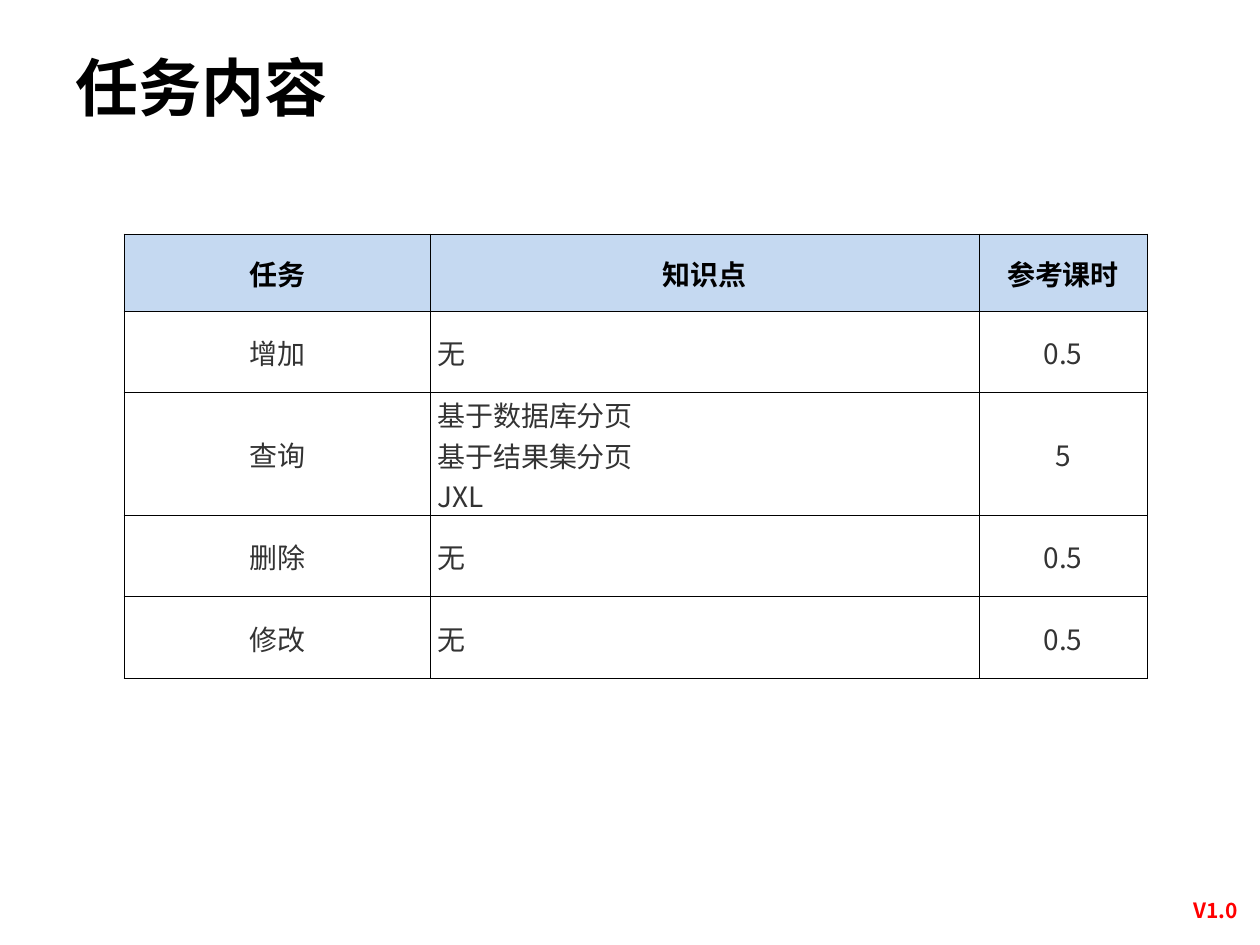
from lxml.etree import SubElement
from pptx import Presentation
from pptx.dml.color import RGBColor
from pptx.enum.text import MSO_ANCHOR, PP_ALIGN
from pptx.oxml.ns import qn
from pptx.util import Cm, Pt

FONT = "Noto Sans CJK SC"
COLUMN_WIDTHS = [6.17, 11.07, 3.38]
ROW_HEIGHTS = [1.55, 1.65, 2.46, 1.65, 1.65]
TASKS = [
    ("任务", "知识点", "参考课时"),
    ("增加", "无", "0.5"),
    ("查询", "基于数据库分页\n基于结果集分页\nJXL", "5"),
    ("删除", "无", "0.5"),
    ("修改", "无", "0.5"),
]


def color(hex_code):
    return RGBColor.from_string(hex_code)


def write(frame, text, size, hex_code, bold, align):
    frame.text = text
    for paragraph in frame.paragraphs:
        paragraph.alignment = align
        font = paragraph.font
        font.name, font.size, font.bold = FONT, Pt(size), bold
        font.color.rgb = color(hex_code)
        # Chinese characters take the East Asian typeface
        defaults = paragraph._p.pPr.find(qn("a:defRPr"))
        SubElement(defaults, qn("a:ea"), typeface=FONT)


def add_borders(cell):
    properties = cell._tc.get_or_add_tcPr()
    for side in ("a:lnL", "a:lnR", "a:lnT", "a:lnB"):
        line = SubElement(properties, qn(side), w=str(Pt(0.5)))
        fill = SubElement(line, qn("a:solidFill"))
        SubElement(fill, qn("a:srgbClr"), val="000000")


def format_cell(cell, text, is_header, is_left):
    add_borders(cell)
    cell.fill.solid()
    cell.fill.fore_color.rgb = color("C5D9F1" if is_header else "FFFFFF")
    cell.vertical_anchor = MSO_ANCHOR.MIDDLE
    cell.margin_left = Cm(0.15 if is_left else 0.03)
    cell.margin_right = cell.margin_top = Cm(0.03)
    cell.margin_bottom = 0
    write(cell.text_frame, text, 16, "000000" if is_header else "333333",
          is_header, PP_ALIGN.LEFT if is_left else PP_ALIGN.CENTER)


def add_title(slide, text):
    title = slide.shapes.title
    title.left, title.top = Cm(1.27), Cm(0.76)
    title.width, title.height = Cm(20.24), Cm(1.96)
    title.text_frame.vertical_anchor = MSO_ANCHOR.MIDDLE
    write(title.text_frame, text, 36, "000000", True, PP_ALIGN.LEFT)


def add_task_table(slide):
    table = slide.shapes.add_table(
        len(TASKS), len(COLUMN_WIDTHS), Cm(2.5), Cm(4.72),
        Cm(sum(COLUMN_WIDTHS)), Cm(sum(ROW_HEIGHTS))).table
    for column, width in zip(table.columns, COLUMN_WIDTHS):
        column.width = Cm(width)
    for r, (row, height) in enumerate(zip(table.rows, ROW_HEIGHTS)):
        row.height = Cm(height)
        for c, text in enumerate(TASKS[r]):
            format_cell(row.cells[c], text, r == 0, r > 0 and c == 1)


def add_version(slide, text):
    version = slide.shapes.add_textbox(Cm(23.5), Cm(17.96), Cm(2), Cm(0.76))
    write(version.text_frame, text, 12, "FF0000", True, PP_ALIGN.CENTER)


def main():
    prs = Presentation()
    prs.slide_width, prs.slide_height = Cm(25.4), Cm(19.05)
    slide = prs.slides.add_slide(prs.slide_layouts[5])  # title only
    add_version(slide, "V1.0")
    add_title(slide, "任务内容")
    add_task_table(slide)
    prs.save("out.pptx")


if __name__ == "__main__":
    main()
